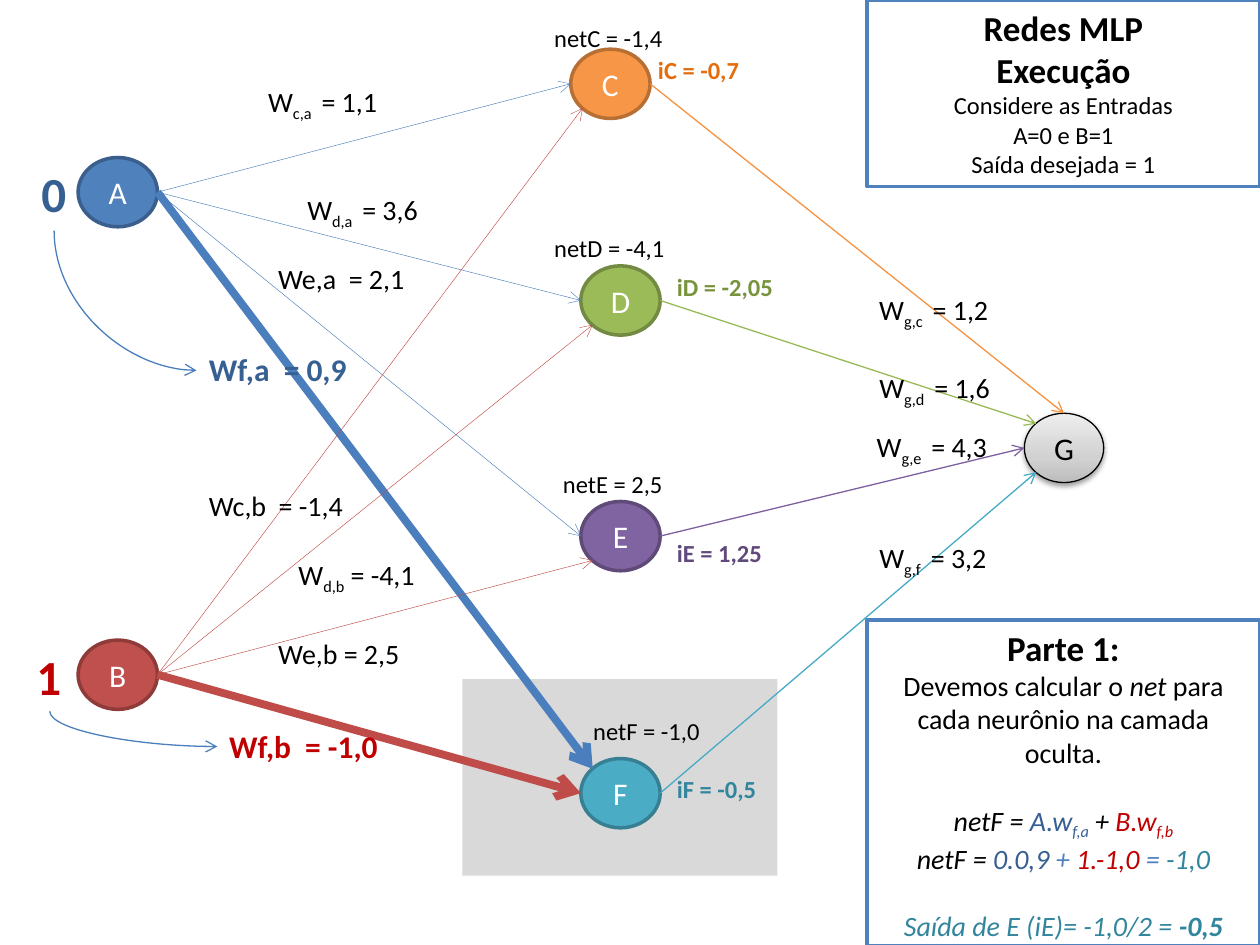
"""Builds the MLP execution slide: a network diagram with weights, net values and two explanation boxes."""
from copy import deepcopy
from dataclasses import dataclass

from lxml.etree import SubElement
from pptx import Presentation
from pptx.dml.color import RGBColor
from pptx.enum.shapes import MSO_CONNECTOR as LINK, MSO_SHAPE as SHAPE
from pptx.enum.text import MSO_ANCHOR as ANCHOR, MSO_AUTO_SIZE as FIT, PP_ALIGN as ALIGN
from pptx.oxml.ns import qn
from pptx.util import Inches, Pt


@dataclass(frozen=True)
class Theme:
    font: str = "Calibri"
    black: str = "000000"
    white: str = "FFFFFF"
    grey: str = "D9D9D9"
    blue: str = "4F81BD"
    navy: str = "376092"
    red: str = "C00000"
    orange: str = "E46C0A"
    green: str = "77933C"
    purple: str = "604A7B"
    teal: str = "31859C"
    link_blue: str = "4B7EBC"
    link_red: str = "BF4C48"
    small: int = 14
    body: int = 16
    strong: int = 18
    title: int = 20
    huge: int = 28


theme = Theme()
rgb = RGBColor.from_string


def write(paragraph, runs, size, color=theme.black, bold=False):
    for text, style in runs:
        run = paragraph.add_run()
        run.text = text
        run.font.name = theme.font
        run.font.size = Pt(size)
        run.font.bold = style.get("bold", bold)
        run.font.italic = style.get("italic", False)
        run.font.color.rgb = rgb(style.get("color", color))
        if style.get("sub"):
            run.font._element.set("baseline", "-25000")


def finish_arrow(arrow, color, width):
    arrow.line.color.rgb = rgb(color)
    arrow.line.width = Pt(width)
    properties = arrow._element.spPr
    SubElement(properties.find(qn("a:ln")), qn("a:tailEnd"), type="arrow")
    SubElement(properties, qn("a:effectLst"))


prs = Presentation()
prs.slide_width, prs.slide_height = Inches(10), Inches(7.5)
slide = prs.slides.add_slide(prs.slide_layouts[6])
shapes = slide.shapes

highlight = shapes.add_shape(SHAPE.RECTANGLE, Inches(3.67), Inches(5.39), Inches(2.5), Inches(1.56))
highlight.shadow.inherit = False
highlight.fill.solid()
highlight.fill.fore_color.rgb = rgb(theme.grey)
highlight.line.fill.background()

node_width, node_height = 0.63, 0.55
nodes = {
    "A": (0.62, 1.25, theme.blue, "3A5F8C"),
    "B": (0.62, 5.08, "C0504D", "8E3B39"),
    "C": (4.53, 0.39, "F79646", "B76F34"),
    "D": (4.61, 2.11, "9BBB59", "738A42"),
    "E": (4.61, 3.98, "8064A2", "5F4A78"),
    "F": (4.61, 6.02, "4BACC6", "377F92"),
    "G": (8.13, 3.28, None, theme.black),
}
for name, (left, top, fill, outline) in nodes.items():
    neuron = shapes.add_shape(SHAPE.OVAL, Inches(left), Inches(top), Inches(node_width), Inches(node_height))
    neuron.shadow.inherit = False
    neuron.line.color.rgb = rgb(outline)
    neuron.line.width = Pt(2 if fill else 0.75)
    if fill:
        neuron.fill.solid()
        neuron.fill.fore_color.rgb = rgb(fill)
    else:
        neuron.fill.gradient()
        neuron.fill.gradient_angle = 90
        stop_list = neuron._element.spPr.find(qn("a:gradFill")).find(qn("a:gsLst"))
        stop_list.append(deepcopy(stop_list[-1]))
        for stop, (position, shade) in zip(
            neuron.fill.gradient_stops, [(0, "BDBDBD"), (0.35, "D1D1D1"), (1, "EEEEEE")]
        ):
            stop.position = position
            stop.color.rgb = rgb(shade)
        effects = neuron._element.spPr.find(qn("a:effectLst"))
        shadow = SubElement(
            effects, qn("a:outerShdw"), blurRad=str(Pt(3.1)), dist=str(Pt(1.6)), dir="5400000", rotWithShape="0"
        )
        shade = SubElement(shadow, qn("a:srgbClr"), val=theme.black)
        SubElement(shade, qn("a:alpha"), val="38000")
    neuron.text_frame.vertical_anchor = ANCHOR.MIDDLE
    neuron.text_frame.paragraphs[0].alignment = ALIGN.CENTER
    write(neuron.text_frame.paragraphs[0], [(name, {})], theme.strong, theme.white if fill else theme.black)

ports = {"left": (0, 0.5), "top": (0.5, 0), "upper left": (0.15, 0.15), "lower left": (0.15, 0.85)}
links = [
    ("A", "C", "left", theme.link_blue, 0.25),
    ("A", "D", "left", theme.link_blue, 0.25),
    ("A", "E", "left", theme.link_blue, 0.25),
    ("A", "F", "upper left", theme.link_blue, 4.5),
    ("B", "C", "lower left", theme.link_red, 0.25),
    ("B", "D", "lower left", theme.link_red, 0.25),
    ("B", "E", "lower left", theme.link_red, 0.25),
    ("B", "F", "left", theme.link_red, 4.5),
    ("C", "G", "top", "F69240", 0.75),
    ("D", "G", "upper left", "98B955", 0.75),
    ("E", "G", "left", "7D60A0", 0.75),
    ("F", "G", "lower left", "46AAC5", 0.75),
]
for source, target, port, color, width in links:
    start_x, start_y = nodes[source][:2]
    end_x, end_y = nodes[target][:2]
    across, down = ports[port]
    synapse = shapes.add_connector(
        LINK.STRAIGHT,
        Inches(start_x + node_width), Inches(start_y + node_height / 2),
        Inches(end_x + across * node_width), Inches(end_y + down * node_height),
    )
    finish_arrow(synapse, color, width)

sub = {"sub": True}
weights = [
    (2.03, 0.62, 1.10, "c,a ", " = 1,1"),
    (2.34, 1.48, 1.11, "d,a ", " = 3,6"),
    (2.27, 4.38, 1.15, "d,b", " = -4,1"),
    (6.88, 2.27, 1.10, "g,c ", " = 1,2"),
    (6.88, 2.89, 1.11, "g,d ", " = 1,6"),
    (6.86, 3.36, 1.11, "g,e ", " = 4,3"),
    (6.88, 4.24, 1.08, "g,f ", " = 3,2"),
]
labels = [
    (left, top, width, [("W", {}), (index, sub), (value, {})], theme.body, theme.black, False)
    for left, top, width, index, value in weights
]
plain_labels = [
    (2.11, 2.03, 1.23, "We,a  = 2,1", theme.body, theme.black, False),
    (1.56, 2.73, 1.31, "Wf,a  = 0,9", theme.strong, theme.navy, True),
    (1.56, 3.83, 1.28, "Wc,b  = -1,4", theme.body, theme.black, False),
    (2.11, 5.00, 1.19, "We,b = 2,5", theme.body, theme.black, False),
    (1.72, 5.72, 1.40, "Wf,b  = -1,0", theme.strong, theme.red, True),
    (0.23, 1.25, 0.40, "0", theme.huge, theme.navy, True),
    (0.19, 5.08, 0.40, "1", theme.huge, theme.red, True),
    (4.30, 0.13, 1.07, "netC = -1,4", theme.small, theme.black, False),
    (5.08, 0.39, 0.89, " iC = -0,7", theme.small, theme.orange, True),
    (4.30, 1.80, 1.08, "netD = -4,1", theme.small, theme.black, False),
    (5.23, 2.11, 1.02, " iD = -2,05", theme.small, theme.green, True),
    (4.37, 3.67, 1.00, "netE = 2,5", theme.small, theme.black, False),
    (5.23, 4.22, 0.93, " iE = 1,25", theme.small, theme.purple, True),
    (4.61, 5.63, 1.05, "netF = -1,0", theme.small, theme.black, False),
    (5.23, 6.09, 0.88, " iF = -0,5", theme.small, theme.teal, True),
]
labels += [(left, top, width, [(text, {})], *style) for left, top, width, text, *style in plain_labels]
label_heights = {theme.small: 0.34, theme.body: 0.37, theme.strong: 0.4, theme.huge: 0.57}
for left, top, width, runs, size, color, bold in labels:
    label = shapes.add_textbox(Inches(left), Inches(top), Inches(width), Inches(label_heights[size]))
    label.text_frame.word_wrap = False
    label.text_frame.auto_size = FIT.SHAPE_TO_FIT_TEXT
    write(label.text_frame.paragraphs[0], runs, size, color, bold)

heading = {"bold": True}
italic, italic_navy, italic_red, italic_blue, italic_teal = (
    {"italic": True, "color": color} for color in (theme.black, theme.navy, theme.red, theme.blue, theme.teal)
)
boxes = [
    (0, 1.48, [
        (theme.title, 0, [("Redes MLP", heading)]),
        (theme.title, 0, [("Execução", heading)]),
        (theme.small, 0, [("Considere as Entradas", {})]),
        (theme.small, 0, [("A=0 e B=1", {})]),
        (theme.small, 0, [("Saída desejada = 1", {})]),
    ]),
    (4.92, 2.59, [
        (theme.title, 0, [("Parte 1:", heading)]),
        (theme.body, 0, [("Devemos calcular o ", {}), ("net ", italic),
                         ("para cada neurônio na camada oculta.", {})]),
        (theme.body, 19.5, [("netF = ", italic), ("A.w", italic_navy), ("f,a", italic_navy | sub),
                            (" + ", italic), ("B.w", italic_red), ("f,b", italic_red | sub)]),
        (theme.body, 0, [("netF = ", italic), ("0.0,9", italic_navy), (" + ", italic_blue),
                         ("1.-1,0 ", italic_red), ("= ", italic_blue), ("-1,0", italic_teal)]),
        (theme.body, 19.5, [("Saída de E (iE)= -1,0/2 = ", italic_teal), ("-0,5", italic_teal | heading)]),
    ]),
]
for top, height, lines in boxes:
    box = shapes.add_shape(SHAPE.RECTANGLE, Inches(6.88), Inches(top), Inches(3.12), Inches(height))
    box.shadow.inherit = False
    box.fill.solid()
    box.fill.fore_color.rgb = rgb(theme.white)
    box.line.color.rgb = rgb(theme.blue)
    box.line.width = Pt(2)
    box.text_frame.word_wrap = True
    box.text_frame.auto_size = FIT.SHAPE_TO_FIT_TEXT
    box.text_frame.vertical_anchor = ANCHOR.TOP
    for number, (size, gap, runs) in enumerate(lines):
        line = box.text_frame.add_paragraph() if number else box.text_frame.paragraphs[0]
        line.alignment = ALIGN.CENTER
        line.space_before = Pt(gap)
        write(line, runs, size)

for left, top, width, height in [(0.44, 1.82, 1.11, 1.13), (0.92, 5.12, 0.28, 1.33)]:
    curve = shapes.add_connector(
        LINK.CURVE, Inches(left + width), Inches(top), Inches(left), Inches(top + height)
    )
    curve._element.spPr.find(qn("a:xfrm")).set("rot", "16200000")
    curve._element.spPr.find(qn("a:prstGeom")).set("prst", "curvedConnector2")
    finish_arrow(curve, theme.link_blue, 0.75)

prs.save("out.pptx")
